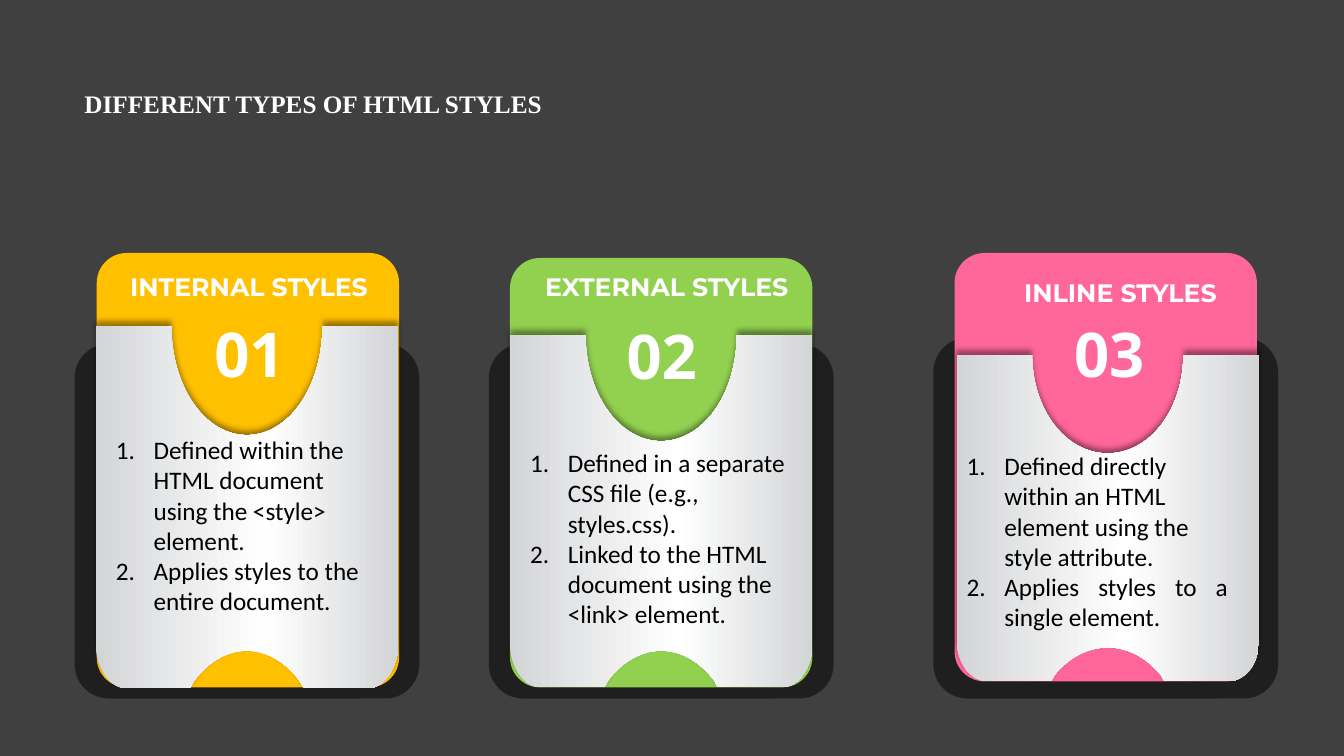
from copy import deepcopy
from dataclasses import dataclass

from lxml import etree
from pptx import Presentation
from pptx.dml.color import RGBColor
from pptx.enum.shapes import MSO_SHAPE
from pptx.enum.text import MSO_AUTO_SIZE, PP_ALIGN
from pptx.oxml import parse_xml
from pptx.oxml.ns import qn
from pptx.util import Inches, Pt

ROUNDED = MSO_SHAPE.ROUNDED_RECTANGLE
FIT_SHAPE = MSO_AUTO_SIZE.SHAPE_TO_FIT_TEXT
LEFT, CENTER, JUSTIFY = PP_ALIGN.LEFT, PP_ALIGN.CENTER, PP_ALIGN.JUSTIFY
DRAWING_NS = "http://schemas.openxmlformats.org/drawingml/2006/main"


@dataclass(frozen=True)
class Theme:
    background: str = "404040"
    dark: str = "000000"
    light: str = "FFFFFF"
    panel_stops: tuple = ((0, "D4D5D7"), (0.56, "FFFFFF"), (1, "D4D5D7"))
    title: tuple = ("Times New Roman", 18, True)
    heading: tuple = ("Montserrat", 18, True)
    number: tuple = ("Open Sans", 44, True)
    body: tuple = ("Calibri", 18, False)
    corner: float = 0.099


THEME = Theme()

# Part boxes are left, top, width, height, measured from the base's corner
CARDS = [
    {
        "base": (0.74, 3.41, 3.42, 3.52), "color": "FFC000",
        "tab": (0.22, -0.9, 3, 4.31), "panel": (0.21, -0.18, 3, 3.6),
        "heading": ((0.22, -0.77, 3.02, 0.53), "INTERNAL STYLES"),
        "number": ((0.85, -0.33, 1.77, 1.11), "01"),
        "list": (0.31, 0.85, 2.85, 1.92),
        "items": [("Defined within the HTML document using the <style> element.", LEFT),
                  ("Applies styles to the entire document.", LEFT)],
    },
    {
        "base": (4.85, 3.41, 3.42, 3.52), "color": "92D050",
        "tab": (0.21, -0.85, 3, 4.26), "panel": (0.21, -0.09, 3, 3.5),
        "heading": ((0.31, -0.77, 2.91, 0.4), "EXTERNAL STYLES"),
        "number": ((0.83, -0.3, 1.77, 1.06), "02"),
        "list": (0.31, 0.98, 2.85, 1.92),
        "items": [("Defined in a separate CSS file (e.g., styles.css).", LEFT),
                  ("Linked to the HTML document using the <link> element.", LEFT)],
    },
    {
        "base": (9.26, 3.35, 3.42, 3.58), "color": "FF6699",
        "tab": (0.21, -0.84, 3, 4.25), "panel": (0.23, 0.17, 3, 3.24),
        "heading": ((0.61, -0.65, 2.49, 0.4), "INLINE STYLES"),
        "number": ((0.86, -0.27, 1.77, 1.09), "03"),
        "list": (0.23, 1.07, 2.79, 1.92),
        "items": [("Defined directly within an HTML element using the style attribute.", LEFT),
                  ("Applies styles to a single element.", JUSTIFY)],
    },
]

# Panel outline as fractions of its box: one point ends a line, three a curve
PANEL_OUTLINE = [
    [(0.25, 0)],
    [(0.25, 0.167), (0.36, 0.302), (0.5, 0.302)],
    [(0.64, 0.302), (0.75, 0.167), (0.75, 0)],
    [(1, 0)],
    [(1, 0.877)],
    [(1, 0.945), (0.953, 1), (0.897, 1)],
    [(0.688, 1)],
    [(0.676, 0.981)],
    [(0.63, 0.928), (0.567, 0.896), (0.5, 0.896)],
    [(0.433, 0.896), (0.37, 0.928), (0.324, 0.981)],
    [(0.312, 1)],
    [(0.103, 1)],
    [(0.047, 1), (0, 0.945), (0, 0.877)],
    [(0, 0)],
]


def inside(base, part):
    return (base[0] + part[0], base[1] + part[1], part[2], part[3])


def add_rounded(page, box, color, opacity=None):
    shape = page.shapes.add_shape(ROUNDED, *map(Inches, box))
    shape.adjustments[0] = THEME.corner
    shape.shadow.inherit = False
    shape.fill.solid()
    shape.fill.fore_color.rgb = RGBColor.from_string(color)
    shape.line.fill.background()
    if opacity is not None:
        tint = shape.fill._xPr.find(".//" + qn("a:srgbClr"))
        etree.SubElement(tint, qn("a:alpha"), val=str(opacity * 1000))


def add_text(page, box, items, style, color, numbered=False):
    frame = page.shapes.add_textbox(*map(Inches, box)).text_frame
    frame.word_wrap = True
    frame.auto_size = FIT_SHAPE
    family, size, bold = style
    font_format = {"name": family, "size": Pt(size), "bold": bold}
    for index, (text, alignment) in enumerate(items):
        para = frame.paragraphs[0] if index == 0 else frame.add_paragraph()
        para.alignment = alignment
        span = para.add_run()
        span.text = text
        for key, value in font_format.items():
            setattr(span.font, key, value)
        span.font.color.rgb = RGBColor.from_string(color)
        if numbered:
            props = para._p.get_or_add_pPr()
            indent = Inches(0.375)
            props.set("marL", str(indent))
            props.set("indent", str(-indent))
            etree.SubElement(props, qn("a:buFont"), typeface="+mj-lt")
            etree.SubElement(props, qn("a:buAutoNum"), type="arabicPeriod")


def add_panel(page, box):
    left, top, width, height = map(Inches, box)
    builder = page.shapes.build_freeform(left, top, scale=1.0)
    builder.add_line_segments(
        [(left + x * width, top + y * height) for *_, (x, y) in PANEL_OUTLINE])
    panel = builder.convert_to_shape()
    panel.line.fill.background()
    properties = panel._element.spPr

    # Bend the curved segments
    lines = properties.findall(".//" + qn("a:lnTo"))
    for line, points in zip(lines, PANEL_OUTLINE):
        if len(points) == 3:
            line.tag = qn("a:cubicBezTo")
            line.remove(line[0])
            for x, y in points:
                etree.SubElement(line, qn("a:pt"), x=str(round(x * width)),
                                 y=str(round(y * height)))

    # Three-stop sheen across the panel
    panel.fill.gradient()
    panel.fill.gradient_angle = 0
    stop_list = properties.find(".//" + qn("a:gsLst"))
    stop_list.append(deepcopy(stop_list[0]))
    for stop, (position, color) in zip(panel.fill.gradient_stops, THEME.panel_stops):
        stop.position = position
        stop.color.rgb = RGBColor.from_string(color)

    # Soft shadow cast upward
    properties.append(parse_xml(
        f'<a:effectLst xmlns:a="{DRAWING_NS}"><a:outerShdw blurRad="{Pt(4)}" '
        f'dist="{Pt(3)}" dir="16200000" algn="b" rotWithShape="0">'
        f'<a:srgbClr val="{THEME.dark}"><a:alpha val="40000"/></a:srgbClr>'
        '</a:outerShdw></a:effectLst>'))


def add_card(page, card):
    base = card["base"]
    add_rounded(page, base, THEME.dark, opacity=50)
    add_rounded(page, inside(base, card["tab"]), card["color"])
    for name, style in (("heading", THEME.heading), ("number", THEME.number)):
        box, text = card[name]
        add_text(page, inside(base, box), [(text, CENTER)], style, THEME.light)
    add_panel(page, inside(base, card["panel"]))
    add_text(page, inside(base, card["list"]), card["items"], THEME.body,
             THEME.dark, numbered=True)


def add_title(page, box):
    add_text(page, box, [("DIFFERENT TYPES OF HTML STYLES", LEFT)],
             THEME.title, THEME.light)


def main():
    deck = Presentation()
    deck.slide_width, deck.slide_height = Inches(40 / 3), Inches(7.5)
    page = deck.slides.add_slide(deck.slide_layouts[6])
    page.background.fill.solid()
    page.background.fill.fore_color.rgb = RGBColor.from_string(THEME.background)
    add_title(page, (0.74, 0.83, 5.94, 0.4))
    for card in CARDS:
        add_card(page, card)
    deck.save("out.pptx")


if __name__ == "__main__":
    main()
